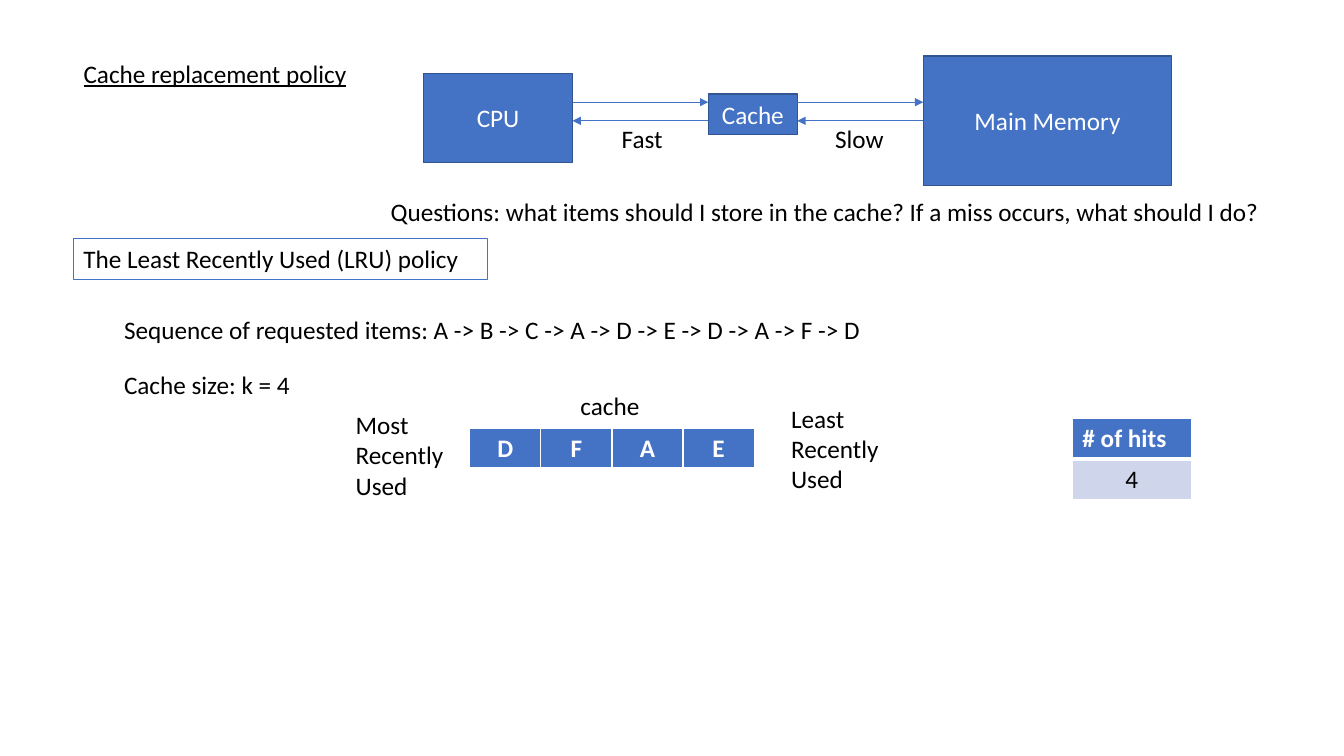
from lxml.etree import SubElement
from pptx import Presentation
from pptx.dml.color import RGBColor
from pptx.enum.shapes import MSO_CONNECTOR, MSO_SHAPE
from pptx.enum.text import MSO_ANCHOR, MSO_AUTO_SIZE, PP_ALIGN
from pptx.oxml import parse_xml
from pptx.oxml.ns import nsdecls, qn
from pptx.util import Pt

BLUE = RGBColor(0x44, 0x72, 0xC4)
DARK_BLUE = RGBColor(0x32, 0x54, 0x91)
PALE_BLUE = RGBColor(0xCF, 0xD5, 0xEA)
WHITE = RGBColor(0xFF, 0xFF, 0xFF)
BLACK = RGBColor(0x00, 0x00, 0x00)


class SlideBuilder:
    font_name = "Calibri"
    font_size = 18
    line_height = 29

    def __init__(self, page):
        self.page = page

    def add_text(self, frame, text, color=BLACK, align=PP_ALIGN.LEFT, bold=False, underline=False):
        para = frame.paragraphs[0]
        para.alignment = align
        span = para.add_run()
        span.text = text
        span.font.name = self.font_name
        span.font.size = Pt(self.font_size)
        span.font.color.rgb = color
        span.font.bold = bold
        span.font.underline = underline

    def title(self, text, left, top, width):
        box = self.page.shapes.title
        box.left, box.top = Pt(left), Pt(top)
        box.width, box.height = Pt(width), Pt(self.line_height)
        frame = box.text_frame
        frame.word_wrap = True
        frame.auto_size = MSO_AUTO_SIZE.NONE
        frame.vertical_anchor = MSO_ANCHOR.TOP
        self.add_text(frame, text, underline=True)

    def label(self, text, left, top, width, lines=1, outline=None):
        height = self.line_height + (lines - 1) * 21.8
        box = self.page.shapes.add_textbox(Pt(left), Pt(top), Pt(width), Pt(height))
        box.text_frame.word_wrap = True
        if outline is not None:
            box.line.color.rgb = outline
            box.line.width = Pt(0.75)
        self.add_text(box.text_frame, text)

    def block(self, text, left, top, width, height):
        box = self.page.shapes.add_shape(
            MSO_SHAPE.RECTANGLE, Pt(left), Pt(top), Pt(width), Pt(height))
        box.shadow.inherit = False
        box.fill.solid()
        box.fill.fore_color.rgb = BLUE
        box.line.color.rgb = DARK_BLUE
        box.line.width = Pt(1)
        box.text_frame.word_wrap = True
        box.text_frame.vertical_anchor = MSO_ANCHOR.MIDDLE
        self.add_text(box.text_frame, text, WHITE, PP_ALIGN.CENTER)

    def arrow(self, start, end, height):
        arrow = self.page.shapes.add_connector(
            MSO_CONNECTOR.STRAIGHT, Pt(start), Pt(height), Pt(end), Pt(height))
        arrow.line.color.rgb = BLUE
        arrow.line.width = Pt(0.5)
        properties = arrow._element.spPr
        SubElement(properties.find(qn("a:ln")), qn("a:tailEnd"), type="triangle")
        SubElement(properties, qn("a:effectLst"))

    def table(self, rows, left, top, column_width):
        grid = self.page.shapes.add_table(
            len(rows), len(rows[0]), Pt(left), Pt(top),
            Pt(column_width * len(rows[0])), Pt(self.line_height * len(rows))).table
        for column in grid.columns:
            column.width = Pt(column_width)
        for row_index, row in enumerate(rows):
            header = row_index == 0
            for column_index, (text, align) in enumerate(row):
                cell = grid.cell(row_index, column_index)
                cell.fill.solid()
                cell.fill.fore_color.rgb = BLUE if header else PALE_BLUE
                self.add_text(cell.text_frame, text, WHITE if header else BLACK, align, bold=header)
                self.borders(cell, top=3 if row_index == 1 else 1, bottom=3 if header else 1)

    def borders(self, cell, top, bottom):
        widths = {"lnL": 1, "lnR": 1, "lnT": top, "lnB": bottom}
        for position, (side, width) in enumerate(widths.items()):
            edge = parse_xml(
                f'<a:{side} {nsdecls("a")} w="{Pt(width)}"><a:solidFill>'
                f'<a:srgbClr val="{WHITE}"/></a:solidFill></a:{side}>')
            cell._tc.get_or_add_tcPr().insert(position, edge)


def main():
    deck = Presentation()
    deck.slide_width, deck.slide_height = Pt(960), Pt(540)
    slide = SlideBuilder(deck.slides.add_slide(deck.slide_layouts[5]))

    slide.title("Cache replacement policy", 52.5, 38, 421)

    slide.block("CPU", 302.5, 52.5, 106.5, 63.5)
    slide.block("Cache", 506, 67, 63.5, 29)
    slide.block("Main Memory", 659.5, 40, 177.5, 92.5)
    for near, far in ((409, 506), (569.5, 659.5)):
        slide.arrow(near, far, 73)
        slide.arrow(far, near, 86.3)

    slide.label("Fast", 437, 84.5, 52)
    slide.label("Slow", 589.5, 84.5, 63.5)
    slide.label("Questions: what items should I store in the cache? "
                "If a miss occurs, what should I do?", 272, 137, 657)
    slide.label("The Least Recently Used (LRU) policy", 52.5, 170.5, 296, outline=BLUE)
    slide.label("Sequence of requested items: "
                + " -> ".join("ABCADEDAFD"), 81.5, 221, 638)
    slide.label("Cache size: k = 4", 81.5, 260.5, 250)

    slide.table([[(item, PP_ALIGN.CENTER) for item in "DFAE"]], 335.5, 306, 50.8)
    slide.label("cache", 407.5, 275.5, 65.5)
    slide.label("Most Recently Used", 247, 289, 77, lines=3)
    slide.label("Least Recently Used", 558, 284.5, 77, lines=3)
    slide.table([[("# of hits", PP_ALIGN.LEFT)], [("4", PP_ALIGN.CENTER)]], 766, 299, 85)

    deck.save("out.pptx")


if __name__ == "__main__":
    main()
